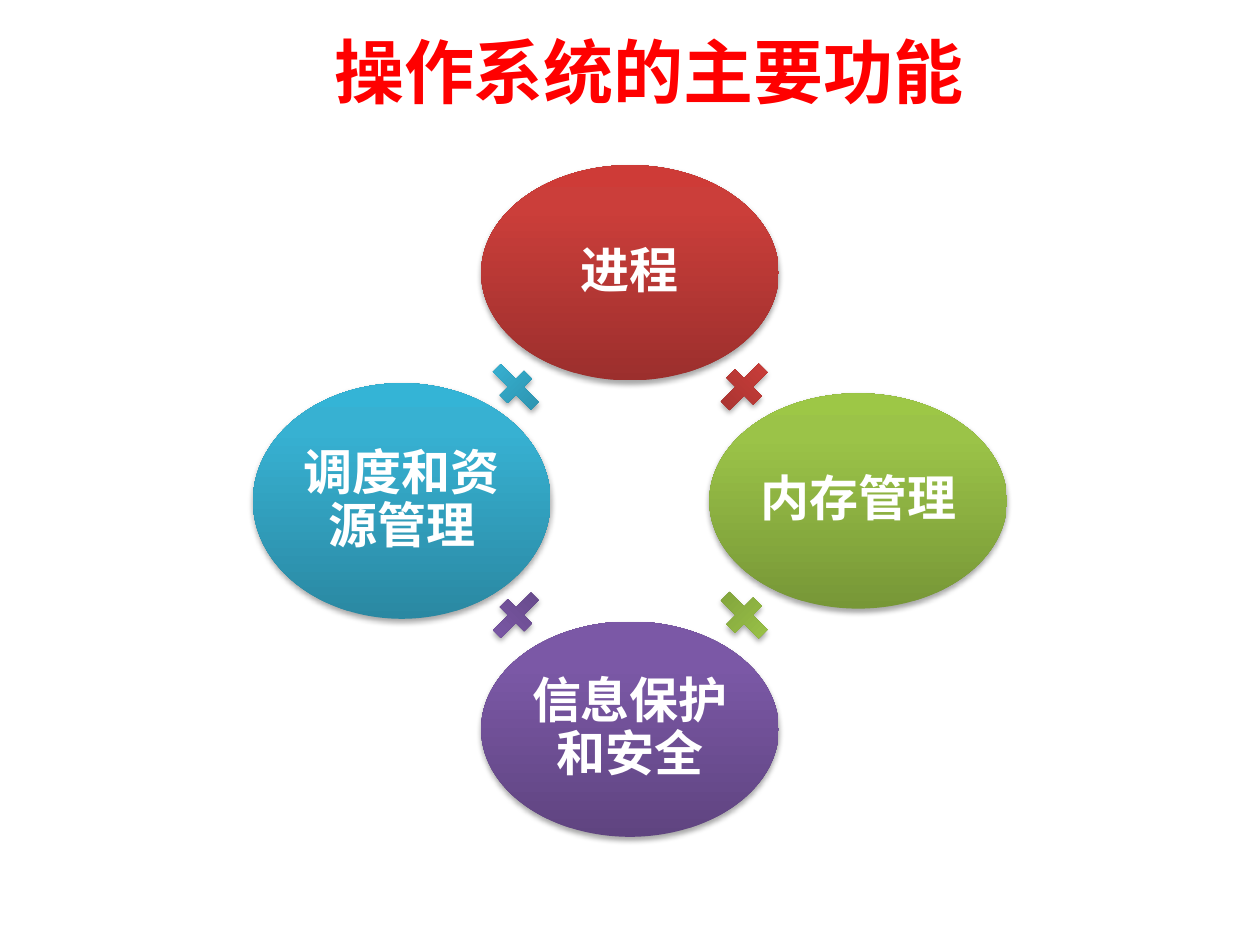
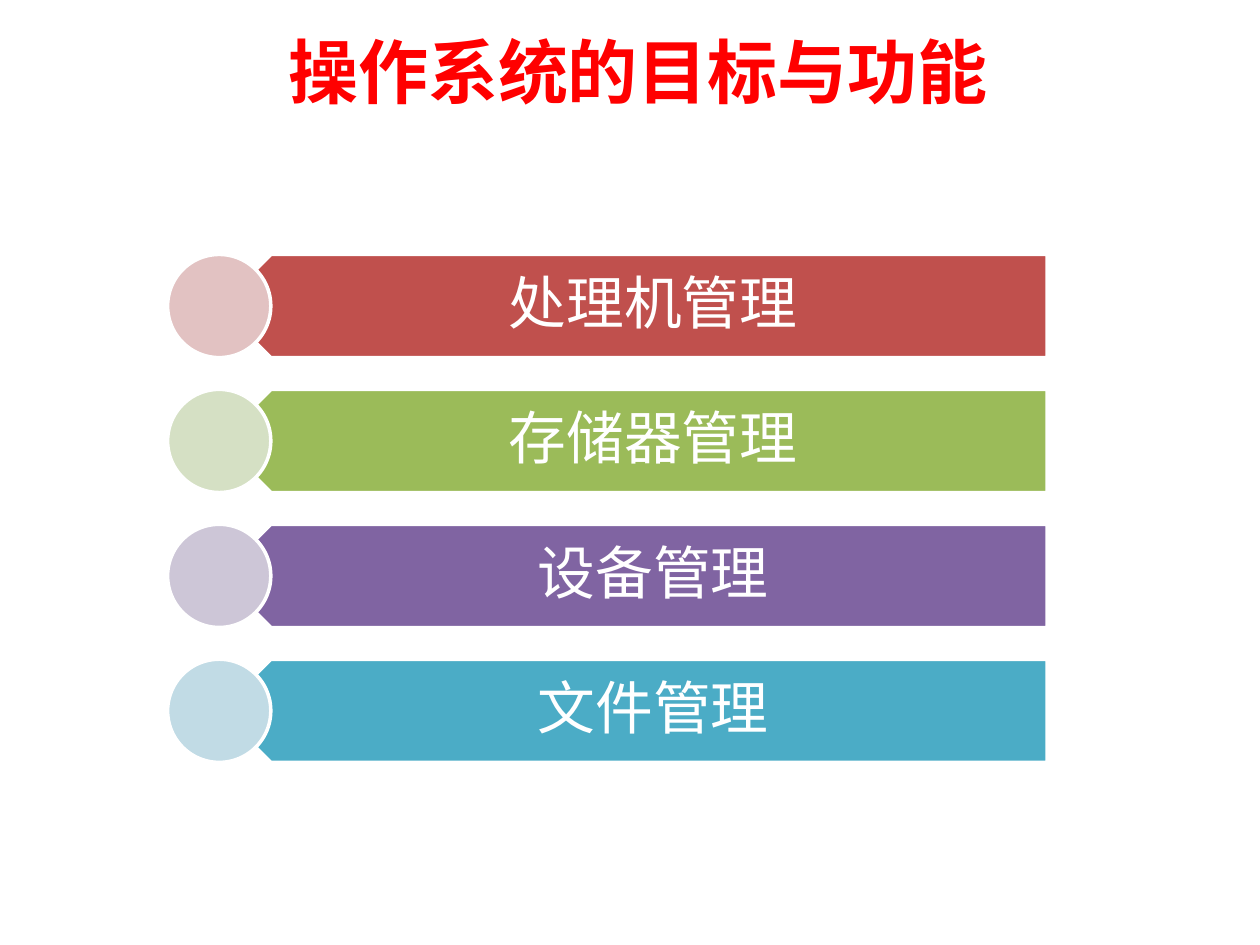
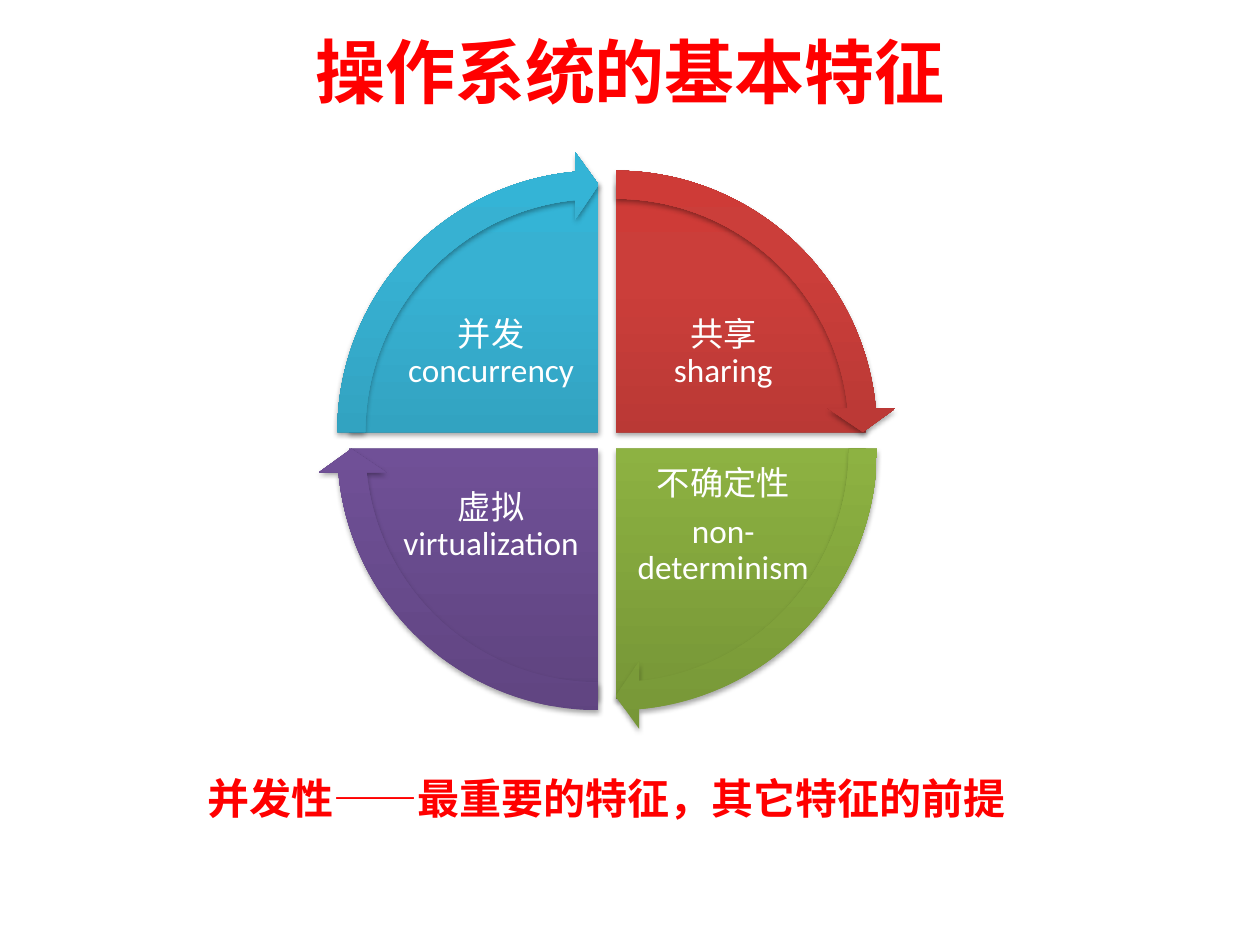
from dataclasses import dataclass

from pptx import Presentation
from pptx.dml.color import RGBColor
from pptx.enum.lang import MSO_LANGUAGE_ID
from pptx.enum.shapes import MSO_SHAPE
from pptx.enum.text import MSO_ANCHOR, PP_ALIGN
from pptx.oxml import parse_xml
from pptx.oxml.ns import nsdecls
from pptx.shapes.autoshape import Shape
from pptx.slide import Slide
from pptx.text.text import TextFrame, _Paragraph
from pptx.util import Cm, Pt

WHITE = RGBColor(0xFF, 0xFF, 0xFF)
TITLE_RED = RGBColor(0xFF, 0x00, 0x00)
TITLE_FONT = "Times New Roman"
BODY_FONT = "Calibri"
CJK_FONT = "Noto Sans CJK SC"

DIRECTIONS = ((0, -1), (1, 0), (0, 1), (-1, 0))
QUADRANTS = ((1, -1), (1, 1), (-1, 1), (-1, -1))
FULL_TURN = 216
QUARTER_TURN = 54
ARROW_HEAD = 3.275


@dataclass(frozen=True)
class Shade:
    """A gradient running from dark at the bottom to light at the top."""
    dark: RGBColor
    mid: RGBColor
    light: RGBColor


@dataclass(frozen=True)
class Function:
    """An ellipse in the ring of functions and the plus that follows it."""
    label: str
    shade: Shade
    height: float
    plus_width: float


@dataclass(frozen=True)
class Task:
    """A management bar with its pale disc."""
    label: str
    color: RGBColor
    tint: RGBColor


@dataclass(frozen=True)
class Feature:
    """A quarter of the feature wheel."""
    lines: tuple[str, ...]
    shade: Shade


RED = Shade(RGBColor(0x9C, 0x2F, 0x2D), RGBColor(0xCB, 0x3E, 0x3A), RGBColor(0xCE, 0x3B, 0x37))
GREEN = Shade(RGBColor(0x77, 0x97, 0x37), RGBColor(0x9B, 0xC3, 0x48), RGBColor(0x9D, 0xC7, 0x46))
PURPLE = Shade(RGBColor(0x5F, 0x44, 0x80), RGBColor(0x7B, 0x58, 0xA6), RGBColor(0x7C, 0x57, 0xA8))
BLUE = Shade(RGBColor(0x2A, 0x88, 0xA2), RGBColor(0x37, 0xB1, 0xD2), RGBColor(0x34, 0xB4, 0xD6))

FUNCTIONS = (
    Function("进程", RED, 4.34, 1.04),
    Function("内存管理", GREEN, 4.34, 1.04),
    Function("信息保护和安全", PURPLE, 4.34, 0.94),
    Function("调度和资源管理", BLUE, 4.75, 0.94),
)
TASKS = (
    Task("处理机管理", RGBColor(0xC0, 0x50, 0x4D), RGBColor(0xE2, 0xC2, 0xC2)),
    Task("存储器管理", RGBColor(0x9B, 0xBB, 0x59), RGBColor(0xD5, 0xE0, 0xC4)),
    Task("设备管理", RGBColor(0x80, 0x64, 0xA2), RGBColor(0xCD, 0xC6, 0xD7)),
    Task("文件管理", RGBColor(0x4B, 0xAC, 0xC6), RGBColor(0xC1, 0xDB, 0xE5)),
)
FEATURES = (
    Feature(("共享\nsharing",), RED),
    Feature(("不确定性", "non-determinism"), GREEN),
    Feature(("虚拟\nvirtualization",), PURPLE),
    Feature(("并发\nconcurrency",), BLUE),
)


def style(p: _Paragraph, size: float, color: RGBColor, bold: bool, name: str | None) -> None:
    """Set the font of a whole paragraph."""
    p.font.size = Pt(size)
    p.font.bold = bold
    p.font.color.rgb = color
    p.font.language_id = MSO_LANGUAGE_ID.SIMPLIFIED_CHINESE
    if name:
        p.font.name = name


def add_titled_slide(prs: Presentation, title: str, left: float, width: float) -> Slide:
    """Add a title-only slide with the red title."""
    slide = prs.slides.add_slide(prs.slide_layouts[5])
    sp = slide.shapes.title
    sp.left, sp.top, sp.width, sp.height = Cm(left), Cm(0.13), Cm(width), Cm(2.59)
    sp.text_frame.vertical_anchor = MSO_ANCHOR.MIDDLE
    p = sp.text_frame.paragraphs[0]
    p.text = title
    p.alignment = PP_ALIGN.CENTER
    style(p, 40, TITLE_RED, True, TITLE_FONT)
    return slide


def write_label(tf: TextFrame, lines: tuple[str, ...], size: float, bold: bool,
                insets: tuple[float, float, float, float]) -> None:
    """Write centred white paragraphs inside the given insets."""
    tf.word_wrap = True
    tf.vertical_anchor = MSO_ANCHOR.MIDDLE
    tf.margin_left, tf.margin_top, tf.margin_right, tf.margin_bottom = map(Cm, insets)
    for i, line in enumerate(lines):
        p = tf.add_paragraph() if i else tf.paragraphs[0]
        p.text = line
        p.alignment = PP_ALIGN.CENTER
        p.line_spacing = 0.9
        p.space_after = Pt(size * 0.35)
        style(p, size, WHITE, bold, BODY_FONT)


def add_glossy(slide: Slide, kind: MSO_SHAPE, x: float, y: float, width: float, height: float,
               shade: Shade) -> Shape:
    """Add a shape centred on x, y with a gradient and a soft shadow."""
    sp = slide.shapes.add_shape(kind, Cm(x - width / 2), Cm(y - height / 2), Cm(width), Cm(height))
    stops = "".join(
        f'<a:gs pos="{pos}"><a:srgbClr val="{color}"/></a:gs>'
        for pos, color in ((0, shade.dark), (80000, shade.mid), (100000, shade.light)))
    sp_pr = sp._element.spPr
    sp_pr.append(parse_xml(
        f'<a:gradFill {nsdecls("a")} rotWithShape="1"><a:gsLst>{stops}</a:gsLst>'
        '<a:lin ang="16200000" scaled="0"/></a:gradFill>'))
    sp.line.fill.background()
    sp_pr.append(parse_xml(
        f'<a:effectLst {nsdecls("a")}><a:outerShdw blurRad="40000" dist="23000" dir="5400000" '
        'rotWithShape="0"><a:srgbClr val="000000"><a:alpha val="35000"/></a:srgbClr>'
        '</a:outerShdw></a:effectLst>'))
    return sp


def add_flat(slide: Slide, kind: MSO_SHAPE, left: float, top: float, width: float, height: float,
             color: RGBColor) -> Shape:
    """Add a plain shape with a white outline."""
    sp = slide.shapes.add_shape(kind, Cm(left), Cm(top), Cm(width), Cm(height))
    sp.shadow.inherit = False
    sp.fill.solid()
    sp.fill.fore_color.rgb = color
    sp.line.color.rgb = WHITE
    sp.line.width = Pt(2)
    return sp


def build_functions(prs: Presentation) -> None:
    """Build the ring of main functions."""
    slide = add_titled_slide(prs, "操作系统的主要功能", 1.27, 23.62)
    cx, cy, radius = 12.7, 10.1, 4.6
    for i, item in enumerate(FUNCTIONS):
        dx, dy = DIRECTIONS[i]
        next_dx, next_dy = DIRECTIONS[(i + 1) % len(DIRECTIONS)]
        oval = add_glossy(slide, MSO_SHAPE.OVAL, cx + radius * dx, cy + radius * dy,
                          6, item.height, item.shade)
        write_label(oval.text_frame, (item.label,), 28, True, (0.1, 0.1, 0.1, 0.1))
        plus = add_glossy(slide, MSO_SHAPE.MATH_PLUS, cx + radius * (dx + next_dx) / 2,
                          cy + radius * (dy + next_dy) / 2, item.plus_width, 1.47, item.shade)
        plus.rotation = 45 + 90 * i


def build_tasks(prs: Presentation) -> None:
    """Build the list of management tasks."""
    slide = add_titled_slide(prs, " 操作系统的目标与功能", 0, 25.4)
    height = 2.08
    for i, task in enumerate(TASKS):
        top = 5.13 + 2.72 * i
        bar = add_flat(slide, MSO_SHAPE.PENTAGON, 4.42, top, 16.69, height, task.color)
        bar.rotation = 180
        box = slide.shapes.add_textbox(Cm(4.95), Cm(top), Cm(16.18), Cm(height))
        write_label(box.text_frame, (task.label,), 33, False, (0.91, 0.36, 0.66, 0.36))
        add_flat(slide, MSO_SHAPE.OVAL, 3.38, top, height, height, task.tint)


def add_conclusion(slide: Slide) -> None:
    """Add the red closing sentence."""
    box = slide.shapes.add_textbox(Cm(2.67), Cm(15.24), Cm(19.23), Cm(1.4))
    tf = box.text_frame
    tf.word_wrap = True
    tf.margin_left = Cm(1.52)
    p = tf.paragraphs[0]
    p.line_spacing = 1.2
    style(p, 24, TITLE_RED, True, None)
    for text, name in (("并发性", TITLE_FONT), ("——", CJK_FONT),
                       ("最重要的特征，其它特征的前提", TITLE_FONT)):
        r = p.add_run()
        r.text = text
        r.font.name = name


def build_features(prs: Presentation) -> None:
    """Build the wheel of basic features."""
    slide = add_titled_slide(prs, "操作系统的基本特征", 1.27, 22.86)
    add_conclusion(slide)
    cx, cy, gap = 12.24, 8.88, 0.17
    text_width, text_height = 3.71, 2.77
    arrows = []
    for i, (feature, (dx, dy)) in enumerate(zip(FEATURES, QUADRANTS)):
        start = (3 + i) % 4 * QUARTER_TURN
        end = (start + QUARTER_TURN) % FULL_TURN
        x, y = cx + gap * dx, cy + gap * dy
        pie = add_glossy(slide, MSO_SHAPE.PIE, x, y, 10.08, 10.08, feature.shade)
        pie.adjustments[0], pie.adjustments[1] = start, end
        box = slide.shapes.add_textbox(
            Cm(cx + 2.34 * dx - text_width / 2), Cm(cy + 1.74 * dy - text_height / 2),
            Cm(text_width), Cm(text_height))
        write_label(box.text_frame, feature.lines, 19, False, (0.08, 0.08, 0.08, 0.08))
        tip = (end - ARROW_HEAD) % FULL_TURN
        arrows.append((x, y, feature.shade, (0.05, ARROW_HEAD, tip, start, 0.06)))
    for x, y, shade, adjustments in arrows:
        arrow = add_glossy(slide, MSO_SHAPE.CIRCULAR_ARROW, x, y, 11.33, 11.33, shade)
        for k, value in enumerate(adjustments):
            arrow.adjustments[k] = value


def main() -> None:
    """Build the three slides and save them."""
    prs = Presentation()
    prs.slide_width, prs.slide_height = Cm(25.4), Cm(19.05)
    build_functions(prs)
    build_tasks(prs)
    build_features(prs)
    prs.save("out.pptx")


if __name__ == "__main__":
    main()
